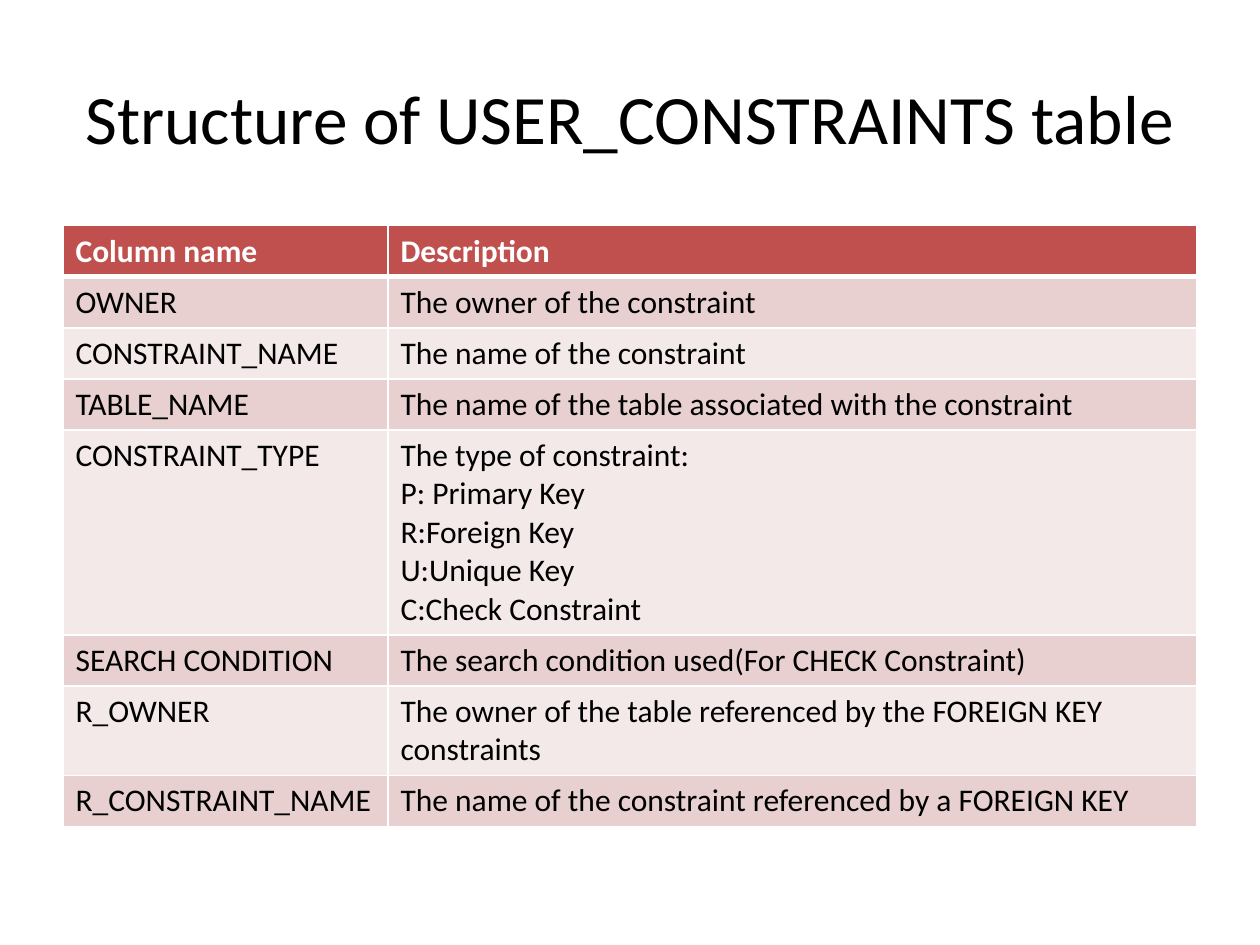
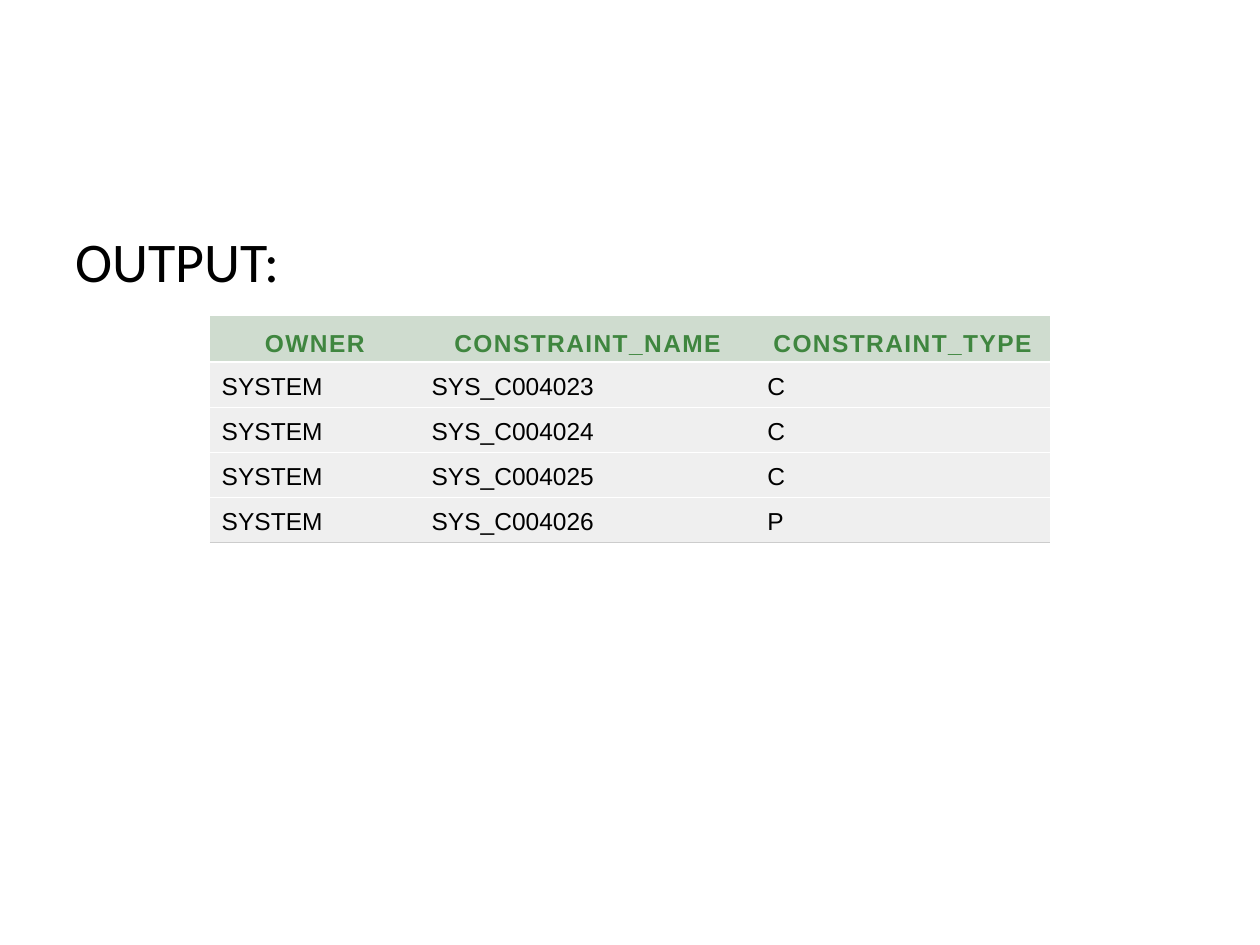
from lxml import etree
from pptx import Presentation
from pptx.dml.color import RGBColor
from pptx.enum.text import MSO_ANCHOR, PP_ALIGN
from pptx.oxml.ns import qn
from pptx.util import Cm, Pt

COLORS = {
    "black": "000000", "white": "FFFFFF",
    "red": "C0504D", "rose": "E8D0D0", "pale_rose": "F4E9E9",
    "green": "3F863F", "sage": "CFDCCF", "grey": "EFEFEF", "rule": "CCCCCC",
}
NO_STYLE = "{2D5ABB26-0587-4C30-8999-92F81FD0307C}"


def style_text(p, font, size, color, bold=False):
    p.font.name, p.font.size, p.font.bold = font, Pt(size), bold
    p.font.color.rgb = RGBColor.from_string(COLORS[color])


def add_table(s, left, top, widths, heights, rows, fills, borders):
    """Add a table; fills holds a colour per row, borders(row) gives side: (colour, points)."""
    frame = s.shapes.add_table(len(rows), len(widths), Cm(left), Cm(top),
                               Cm(sum(widths)), Cm(sum(heights)))
    table = frame.table
    frame._element.find(".//" + qn("a:tableStyleId")).text = NO_STYLE
    for column, width in zip(table.columns, widths):
        column.width = Cm(width)
    for i, (row, height) in enumerate(zip(table.rows, heights)):
        row.height = Cm(height)
        for cell, value in zip(row.cells, rows[i]):
            cell.text = value
            tc_pr = cell._tc.get_or_add_tcPr()
            for side in "LRTB":
                color, width = borders(i).get(side, (None, 0))
                ln = etree.SubElement(tc_pr, qn("a:ln" + side), w=str(Pt(width)))
                if color:
                    fill = etree.SubElement(ln, qn("a:solidFill"))
                    etree.SubElement(fill, qn("a:srgbClr"), val=COLORS[color])
                else:
                    etree.SubElement(ln, qn("a:noFill"))
            cell.fill.solid()
            cell.fill.fore_color.rgb = RGBColor.from_string(COLORS[fills[i]])
    return table


prs = Presentation()
prs.slide_width, prs.slide_height = Cm(25.4), Cm(19.05)
blank = prs.slide_layouts[6]

# Slide 1: title
s = prs.slides.add_slide(blank)
tf = s.shapes.add_textbox(Cm(1.27), Cm(0.76), Cm(22.86), Cm(3.18)).text_frame
tf.word_wrap = True
tf.vertical_anchor = MSO_ANCHOR.MIDDLE
p = tf.paragraphs[0]
p.text = "Structure of USER_CONSTRAINTS table"
p.alignment = PP_ALIGN.CENTER
style_text(p, "Calibri", 39.6, "black")

# Slide 1: column descriptions
columns = [
    ("Column name", "Description"),
    ("OWNER", "The owner of the constraint"),
    ("CONSTRAINT_NAME", "The name of the constraint"),
    ("TABLE_NAME", "The name of the table associated with the constraint"),
    ("CONSTRAINT_TYPE", "The type of constraint:\nP: Primary Key\nR:Foreign Key\n"
                        "U:Unique Key\nC:Check Constraint"),
    ("SEARCH CONDITION", "The search condition used(For CHECK Constraint)"),
    ("R_OWNER", "The owner of the table referenced by the FOREIGN KEY constraints"),
    ("R_CONSTRAINT_NAME", "The name of the constraint referenced by a FOREIGN KEY"),
]
heights = [1.03] * len(columns)
heights[4], heights[6] = 4.13, 1.8  # five lines, two lines
fills = ["red"] + ["rose" if i % 2 else "pale_rose" for i in range(1, len(columns))]


def grid_borders(i):
    sides = dict.fromkeys("LRTB", ("white", 1))
    if i == 0:
        sides["B"] = ("white", 3)
    elif i == 1:
        sides["T"] = ("white", 3)
    return sides


table = add_table(s, 1.27, 4.55, [6.55, 16.31], heights, columns, fills, grid_borders)
for i, row in enumerate(table.rows):
    for cell in row.cells:
        for p in cell.text_frame.paragraphs:
            style_text(p, "Calibri", 18, "black" if i else "white", bold=i == 0)

# Slide 2: query result
s = prs.slides.add_slide(blank)
results = [("OWNER", "CONSTRAINT_NAME", "CONSTRAINT_TYPE")]
results += [("SYSTEM", f"SYS_C00{number}", kind) for number, kind in zip(range(4023, 4027), "CCCP")]
last = len(results) - 1
table = add_table(
    s, 4.23, 6.36, [4.23, 6.77, 5.93], [0.94] + [0.91] * last, results,
    ["sage"] + ["grey"] * last,
    lambda i: {"T": ("white", 1), "B": ("rule" if i == last else "white", 1)})
for i, row in enumerate(table.rows):
    for cell in row.cells:
        cell.margin_left = cell.margin_right = Cm(0.24)
        cell.margin_top = cell.margin_bottom = Cm(0.08)
        cell.vertical_anchor = MSO_ANCHOR.MIDDLE if i else MSO_ANCHOR.BOTTOM
        p = cell.text_frame.paragraphs[0]
        p.line_spacing = 1.15
        style_text(p, "Arial", 14, "black" if i else "green", bold=i == 0)
        if i == 0:
            p.alignment = PP_ALIGN.CENTER
            p.runs[0]._r.get_or_add_rPr().set("spc", "80")

# Slide 2: caption
tf = s.shapes.add_textbox(Cm(1.27), Cm(4.45), Cm(22.86), Cm(12.57)).text_frame
tf.word_wrap = True
p = tf.paragraphs[0]
p.text = "OUTPUT:"
p.space_before = Pt(6.4)
style_text(p, "Calibri", 32, "black")

prs.save("out.pptx")
